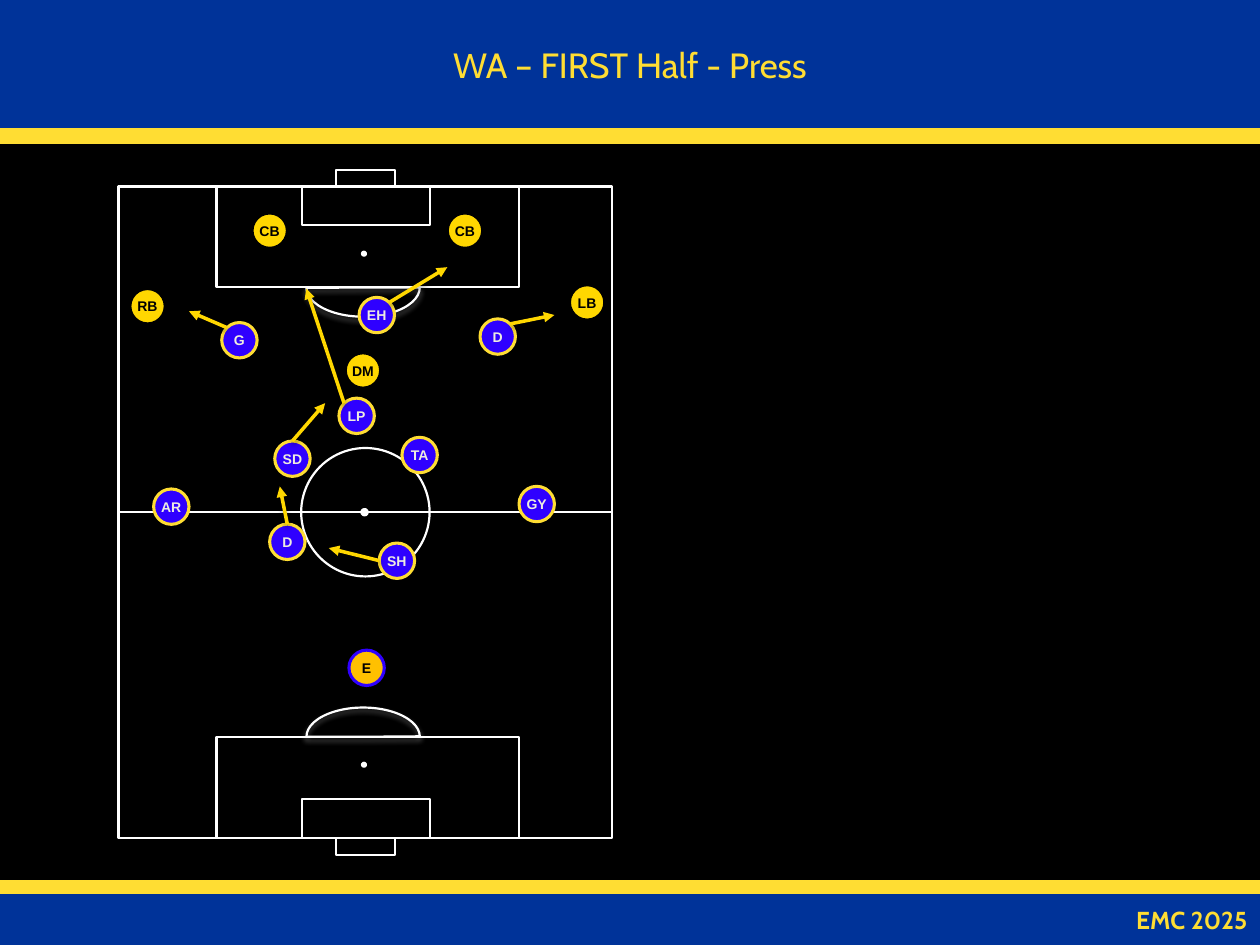
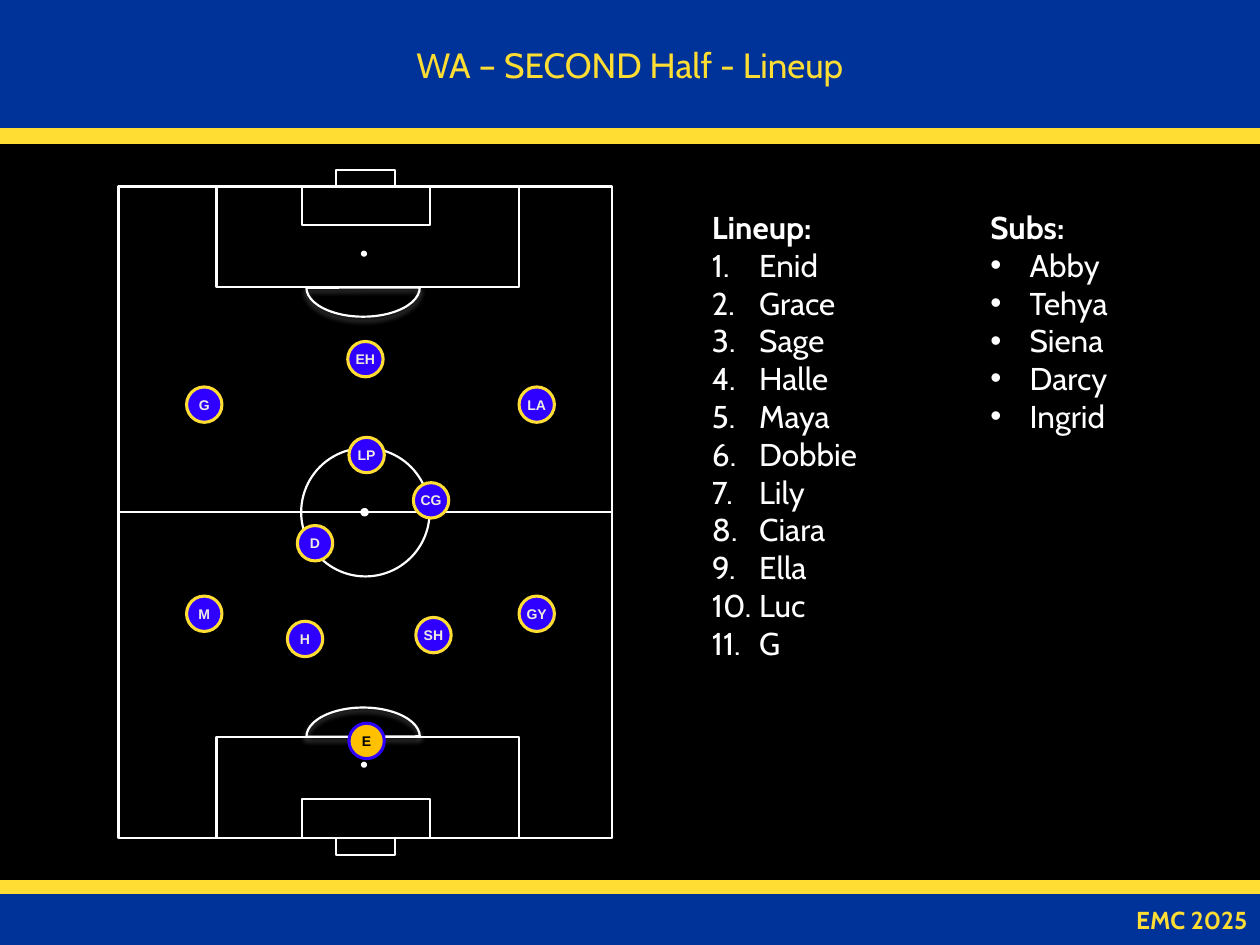
from lxml import etree
from pptx import Presentation
from pptx.dml.color import RGBColor
from pptx.enum.shapes import MSO_CONNECTOR, MSO_SHAPE
from pptx.enum.text import MSO_ANCHOR, MSO_AUTO_SIZE, PP_ALIGN
from pptx.oxml.ns import qn
from pptx.util import Pt

RECTANGLE, OVAL, PIE = MSO_SHAPE.RECTANGLE, MSO_SHAPE.OVAL, MSO_SHAPE.PIE
STRAIGHT = MSO_CONNECTOR.STRAIGHT
LEFT, CENTER, RIGHT = PP_ALIGN.LEFT, PP_ALIGN.CENTER, PP_ALIGN.RIGHT
TOP, MIDDLE = MSO_ANCHOR.TOP, MSO_ANCHOR.MIDDLE
NO_AUTOFIT = MSO_AUTO_SIZE.NONE

COLORS = {
    "background": "000000", "band": "003399", "stripe": "FFDD33",
    "pitch": "FFFFFF", "text": "FFFFFF", "player": "2F00FF",
    "player_text": "EEECE1", "keeper": "FFC000", "opponent": "FFD700",
    "dark": "000000",
}
TEXT_FONT, MARKER_FONT = "Cabin", "Arial"
WIDTH, HEIGHT = 720, 540
PITCH_BOX = (67.7, 106.6, 282.2, 372.2)
MARKER_SIZE = 20.2

# Marker styles: fill, outline, text
MARKERS = {
    "player": ("player", "stripe", "player_text"),
    "keeper": ("keeper", "player", "dark"),
    "opponent": ("opponent", "dark", "dark"),
}

# Marker centres and arrow ends, measured from the pitch's top left corner
PRESS_TEAM = [
    ("SH", 159.1, 213.8), ("D", 96.5, 203), ("AR", 30.2, 182.9),
    ("GY", 239, 181.4), ("SD", 99.4, 155.5), ("TA", 172.1, 153.4),
    ("LP", 136.1, 131), ("EH", 147.6, 73.4), ("D", 216.7, 85.7),
    ("G", 69.1, 87.8),
]
PRESS_KEEPER = [("E", 141.8, 275)]
PRESS_OPPONENTS = [
    ("CB", 86.4, 25.2), ("RB", 16.6, 68.4), ("DM", 139.7, 105.1),
    ("CB", 198, 25.2), ("LB", 267.8, 66.2),
]
PRESS_RUNS = [
    (128.9, 123.8, 107.3, 58.3), (96.5, 193, 92.2, 171.4),
    (99.4, 145.4, 118.1, 123.8), (149, 213.8, 120.2, 206.6),
    (154.8, 66.2, 187.9, 46.1), (61.9, 80.6, 40.3, 71.3),
    (223.9, 78.5, 249.1, 73.4),
]
LINEUP_TEAM = [
    ("SH", 180, 256.3), ("H", 106.6, 258.5), ("M", 49, 244.1),
    ("GY", 239, 244.1), ("D", 112.3, 203.8), ("CG", 178.6, 179.3),
    ("LP", 141.8, 153.4), ("EH", 141.1, 98.6), ("LA", 239, 124.6),
    ("G", 49, 124.6),
]
LINEUP_KEEPER = [("E", 141.8, 316.8)]
LINEUP = ["Enid", "Grace", "Sage", "Halle", "Maya", "Dobbie", "Lily",
          "Ciara", "Ella", "Luc", "G"]
SUBSTITUTES = ["Abby", "Tehya", "Siena", "Darcy", "Ingrid"]


def color(name):
    return RGBColor.from_string(COLORS[name])


def style_shape(shape, fill, line, line_width):
    if fill:
        shape.fill.solid()
        shape.fill.fore_color.rgb = color(fill)
    else:
        shape.fill.background()
    shape.line.color.rgb = color(line)
    shape.line.width = Pt(line_width)


def add_shape(shapes, kind, box, fill, line, line_width):
    shape = shapes.add_shape(kind, *map(Pt, box))
    shape.shadow.inherit = False
    style_shape(shape, fill, line, line_width)
    return shape


def add_run(paragraph, text, size, color_name, font=TEXT_FONT, bold=False):
    run = paragraph.add_run()
    run.text = text
    run.font.name = font
    run.font.size = Pt(size)
    run.font.bold = bold
    run.font.color.rgb = color(color_name)


def place(shape, box):
    shape.left, shape.top, shape.width, shape.height = map(Pt, box)


def add_soft_shadow(shape, color_name, opacity):
    properties = shape._element.spPr
    effects = properties.find(qn("a:effectLst"))
    if effects is None:
        effects = etree.SubElement(properties, qn("a:effectLst"))
    shadow = etree.SubElement(
        effects, qn("a:outerShdw"), blurRad=str(Pt(3.1)),
        dist=str(Pt(1.8)), dir="5400000", rotWithShape="0")
    value = etree.SubElement(shadow, qn("a:srgbClr"), val=COLORS[color_name])
    etree.SubElement(value, qn("a:alpha"), val=str(opacity * 1000))


def add_frame(slide, title_text):
    """Title band, stripes and footer band."""
    title = slide.shapes.title
    place(title, (0, 0, WIDTH, 73.4))
    style_shape(title, "band", "band", 0.75)
    frame = title.text_frame
    frame.auto_size = NO_AUTOFIT
    frame.vertical_anchor = MIDDLE
    frame.paragraphs[0].alignment = CENTER
    add_run(frame.paragraphs[0], title_text, 20, "stripe")

    for top in (503, 73.4):
        add_shape(slide.shapes, RECTANGLE, (0, top, WIDTH, 8.4),
                  "stripe", "stripe", 0.75)
    footer = add_shape(slide.shapes, RECTANGLE, (0, 511.2, WIDTH, 28.8),
                       "band", "band", 0.75)
    footer.text_frame.vertical_anchor = MIDDLE
    paragraph = footer.text_frame.paragraphs[0]
    paragraph.alignment = RIGHT
    add_run(paragraph, "EMC 2025", 14, "stripe", bold=True)


def add_pitch(slide, box):
    """Football pitch markings, in one group."""
    left, top, width, height = box
    shapes = slide.shapes.add_group_shape().shapes

    def mark(kind, x, y, w, h, fill=None):
        return add_shape(shapes, kind, (left + x, top + y, w, h),
                         fill, "pitch", 1.25)

    def spot(x, y, size):
        mark(OVAL, x - size / 2, y - size / 2, size, size, "pitch")

    # Outline, halfway line and centre circle
    outline = mark(RECTANGLE, 0, 0, width, height)
    halfway = shapes.add_connector(STRAIGHT, 0, 0, 0, 0)
    halfway.begin_connect(outline, 1)
    halfway.end_connect(outline, 3)
    halfway.line.color.rgb = color("pitch")
    halfway.line.width = Pt(1.25)
    etree.SubElement(halfway._element.spPr, qn("a:effectLst"))
    circle = 73.4
    mark(OVAL, (width - circle) / 2, (height - circle) / 2, circle, circle)
    spot(140.6, height / 2, 3.6)

    # Both ends: penalty area, goal area, goal, arc and spot
    for is_bottom in (False, True):
        for x, depth_start, w, depth in ((56, 0, 172.8, 57.6),
                                         (104.8, 0, 73.4, 22),
                                         (124.2, -9.6, 34, 9.6)):
            y = height - depth_start - depth if is_bottom else depth_start
            mark(RECTANGLE, x, y, w, depth)
        arc_top = height - 57.6 - 16.9 if is_bottom else 41
        arc = mark(PIE, 107.4, arc_top, 64.8, 33.4)
        arc.adjustments[0] = 0
        arc.adjustments[1] = 107.73
        arc.rotation = 180 if is_bottom else 0
        add_soft_shadow(arc, "pitch", 35)
        spot(140.3, height - 41.8 if is_bottom else 38.4, 2.2)


def add_markers(slide, box, kind, markers):
    fill, line, text_color = MARKERS[kind]
    for label, x, y in markers:
        marker = add_shape(
            slide.shapes, OVAL,
            (box[0] + x - MARKER_SIZE / 2, box[1] + y - MARKER_SIZE / 2,
             MARKER_SIZE, MARKER_SIZE), fill, line, 1.75)
        frame = marker.text_frame
        frame.margin_left = frame.margin_right = 0
        frame.margin_top = frame.margin_bottom = Pt(2.9)
        frame.vertical_anchor = MIDDLE
        frame.word_wrap = False
        frame.paragraphs[0].alignment = CENTER
        add_run(frame.paragraphs[0], label, 8, text_color, MARKER_FONT, True)


def add_runs_of_play(slide, box, arrows):
    left, top = box[:2]
    for x1, y1, x2, y2 in arrows:
        arrow = slide.shapes.add_connector(
            STRAIGHT, Pt(left + x1), Pt(top + y1), Pt(left + x2), Pt(top + y2))
        arrow.line.color.rgb = color("opponent")
        arrow.line.width = Pt(2)
        etree.SubElement(arrow.line._get_or_add_ln(), qn("a:tailEnd"),
                         type="triangle")
        add_soft_shadow(arrow, "dark", 38)


def fill_list(placeholder, box, heading, names, indent, numbered):
    """Bold heading followed by a numbered or bulleted list."""
    place(placeholder, box)
    frame = placeholder.text_frame
    frame.auto_size = NO_AUTOFIT
    frame.word_wrap = True
    frame.vertical_anchor = TOP
    for index, text in enumerate([heading, *names]):
        is_heading = index == 0
        paragraph = frame.add_paragraph() if index else frame.paragraphs[0]
        paragraph.alignment = LEFT
        paragraph.space_before = Pt(0)
        properties = paragraph._p.get_or_add_pPr()
        hanging = 0 if is_heading else Pt(indent)
        properties.set("marL", str(hanging))
        properties.set("indent", str(-hanging))
        if is_heading:
            etree.SubElement(properties, qn("a:buNone"))
        elif numbered:
            etree.SubElement(properties, qn("a:buFont"), typeface=TEXT_FONT)
            etree.SubElement(properties, qn("a:buAutoNum"),
                             type="arabicPeriod")
        else:
            etree.SubElement(properties, qn("a:buFont"), typeface=MARKER_FONT)
            etree.SubElement(properties, qn("a:buChar"), char="•")
        add_run(paragraph, text, 18, "text", bold=is_heading)


def build_press_slide(presentation):
    slide = presentation.slides.add_slide(presentation.slide_layouts[5])
    add_frame(slide, "WA – FIRST Half - Press")
    add_pitch(slide, PITCH_BOX)
    add_markers(slide, PITCH_BOX, "player", PRESS_TEAM)
    add_markers(slide, PITCH_BOX, "keeper", PRESS_KEEPER)
    add_runs_of_play(slide, PITCH_BOX, PRESS_RUNS)
    add_markers(slide, PITCH_BOX, "opponent", PRESS_OPPONENTS)


def build_lineup_slide(presentation):
    slide = presentation.slides.add_slide(presentation.slide_layouts[3])
    add_frame(slide, "WA – SECOND Half - Lineup")
    add_pitch(slide, PITCH_BOX)
    add_markers(slide, PITCH_BOX, "player", LINEUP_TEAM)
    add_markers(slide, PITCH_BOX, "keeper", LINEUP_KEEPER)
    fill_list(slide.placeholders[1], (399.6, 115.2, 148.3, 269.3),
              "Lineup:", LINEUP, 27, True)
    fill_list(slide.placeholders[2], (558.7, 115.2, 128.9, 159.8),
              "Subs:", SUBSTITUTES, 22.5, False)


def main():
    presentation = Presentation()
    presentation.slide_width = Pt(WIDTH)
    presentation.slide_height = Pt(HEIGHT)
    background = presentation.slide_master.background.fill
    background.solid()
    background.fore_color.rgb = color("background")
    build_press_slide(presentation)
    build_lineup_slide(presentation)
    presentation.save("out.pptx")


if __name__ == "__main__":
    main()
